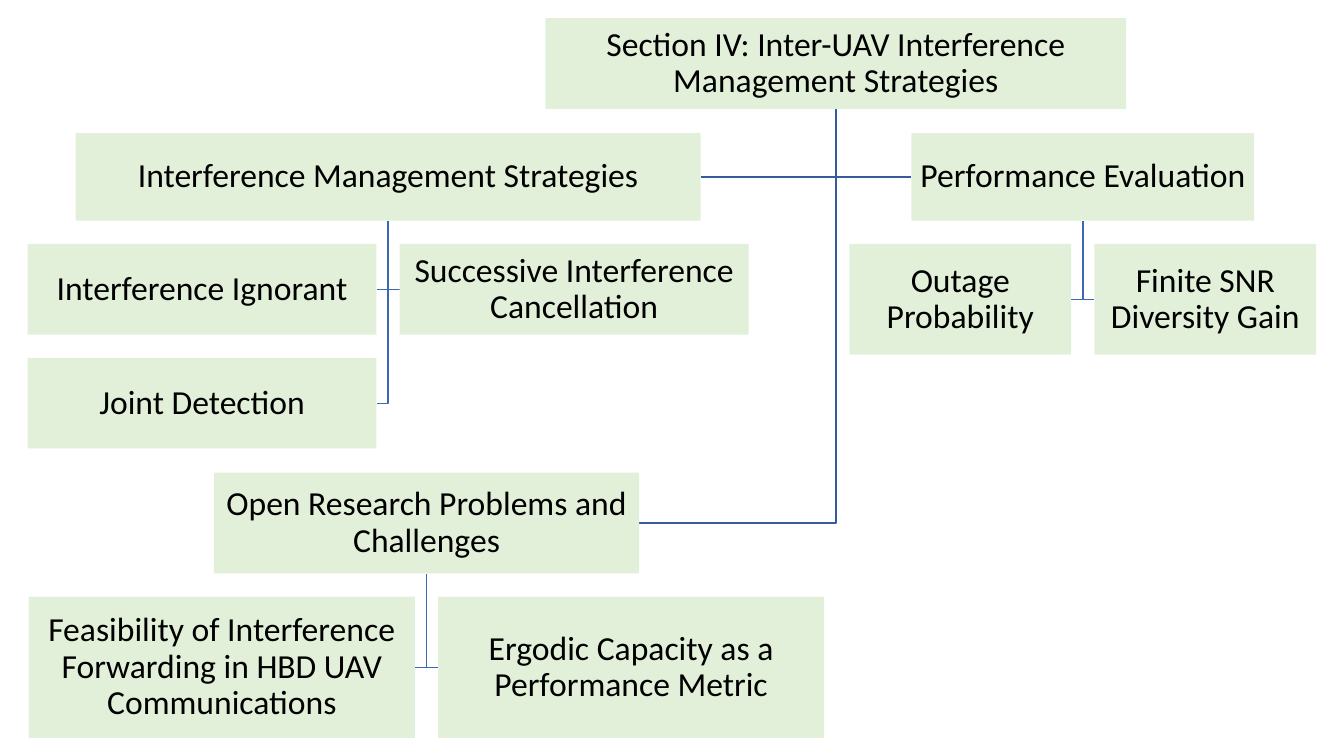
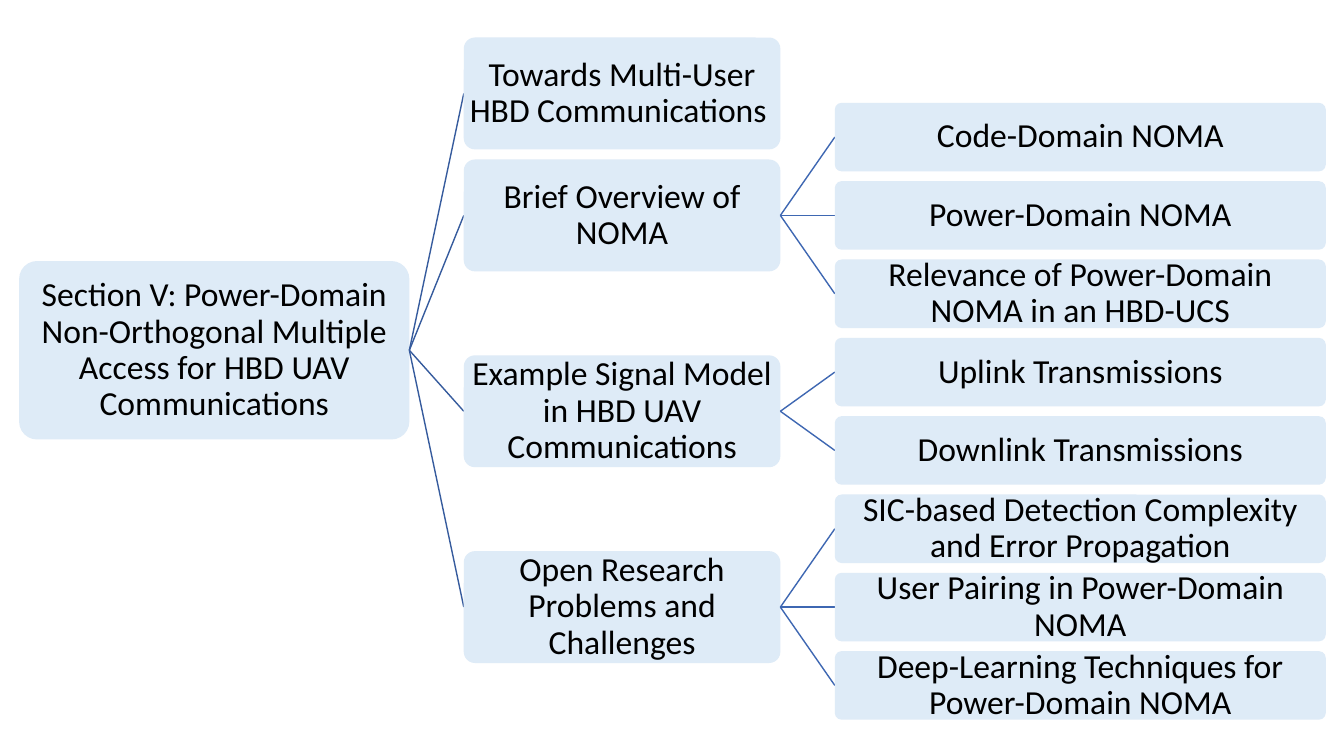
from collections import namedtuple

from lxml import etree
from pptx import Presentation
from pptx.dml.color import RGBColor
from pptx.enum.shapes import MSO_CONNECTOR, MSO_SHAPE
from pptx.enum.text import MSO_ANCHOR, PP_ALIGN
from pptx.oxml.ns import qn
from pptx.util import Inches, Pt

# Shared style
FONT, SIZE, INK = "Calibri", 24, "000000"
GREEN, BLUE = "E2F0D9", "DEEBF7"
ROOT_LINE, LEAF_LINE = "365B9D", "3E67B2"

# Hanging chart: leaves sit in pairs either side of their branch's trunk
HANG_GAP = 0.23
STRATEGIES_ROOT = ("Section IV: Inter-UAV Interference Management Strategies",
                   5.41, 0.18, 5.76, 0.9)
# (branch text, left, top, width, height), (leaf width, leaf height), leaf texts
STRATEGIES = [
    (("Interference Management Strategies", 0.75, 1.32, 6.2, 0.87), (3.46, 0.9),
     ["Interference Ignorant", "Successive Interference Cancellation",
      "Joint Detection"]),
    (("Performance Evaluation", 9.04, 1.32, 3.4, 0.87), (2.2, 1.1),
     ["Outage Probability", "Finite SNR Diversity Gain"]),
    (("Open Research Problems and Challenges", 2.12, 4.69, 4.22, 1), (3.83, 1.4),
     ["Feasibility of Interference Forwarding in HBD UAV Communications",
      "Ergodic Capacity as a Performance Metric"]),
]

# Sideways tree: each parent is centred on its children
NOMA_ROOT = ("Section V: Power-Domain Non-Orthogonal Multiple Access "
             "for HBD UAV Communications")
NOMA = [
    ("Towards Multi-User HBD Communications ", []),
    ("Brief Overview of NOMA",
     ["Code-Domain NOMA", "Power-Domain NOMA",
      "Relevance of Power-Domain NOMA in an HBD-UCS"]),
    ("Example Signal Model in HBD UAV Communications",
     ["Uplink Transmissions", "Downlink Transmissions"]),
    ("Open Research Problems and Challenges",
     ["SIC-based Detection Complexity and Error Propagation",
      "User Pairing in Power-Domain NOMA",
      "Deep-Learning Techniques for Power-Domain NOMA"]),
]
Column = namedtuple("Column", "left width height")
ROOT_COL = Column(0.19, 3.87, 1.77)
BRANCH_COL = Column(4.6, 3.14, 1.11)
LEAF_COL = Column(8.28, 4.87, 0.68)
FIRST_LEAF, LAST_LEAF = 1.36, 6.8  # vertical centres
BRANCH_GAP = 0.1


def rgb(color):
    return RGBColor.from_string(color)


def add_box(s, text, left, top, width, height, fill, kind=MSO_SHAPE.RECTANGLE):
    sp = s.shapes.add_shape(kind, Inches(left), Inches(top),
                            Inches(width), Inches(height))
    if kind == MSO_SHAPE.ROUNDED_RECTANGLE:
        sp.adjustments[0] = 0.1
    sp.shadow.inherit = False
    sp.fill.solid()
    sp.fill.fore_color.rgb = rgb(fill)
    sp.line.fill.background()
    tf = sp.text_frame
    tf.word_wrap = True
    tf.vertical_anchor = MSO_ANCHOR.MIDDLE
    tf.margin_left = tf.margin_right = Inches(0.02)
    tf.margin_top = tf.margin_bottom = Inches(0.02)
    p = tf.paragraphs[0]
    p.text = text
    p.alignment = PP_ALIGN.CENTER
    p.line_spacing = 0.9
    p.font.name, p.font.size = FONT, Pt(SIZE)
    p.font.color.rgb = rgb(INK)


def style_line(line, color):
    line.color.rgb = rgb(color)
    line.width = Pt(1)


def add_elbow(s, parent, child, color):
    """Run down from the parent's foot, then across to the child's near side."""
    _, px, py, pw, ph = parent
    _, cx, cy, cw, ch = child
    trunk, middle = px + pw / 2, cy + ch / 2
    side = cx if cx > trunk else cx + cw
    outline = s.shapes.build_freeform(Inches(trunk), Inches(py + ph))
    outline.add_line_segments([(Inches(trunk), Inches(middle)),
                               (Inches(side), Inches(middle))], close=False)
    sp = outline.convert_to_shape()
    sp.shadow.inherit = False
    sp.fill.background()
    style_line(sp.line, color)


def add_link(s, parent_col, parent_y, child_col, child_y, color):
    cn = s.shapes.add_connector(
        MSO_CONNECTOR.STRAIGHT,
        Inches(parent_col.left + parent_col.width), Inches(parent_y),
        Inches(child_col.left), Inches(child_y))
    style_line(cn.line, color)
    etree.SubElement(cn._element.spPr, qn("a:effectLst"))


def add_node(s, text, col, center):
    add_box(s, text, col.left, center - col.height / 2, col.width, col.height,
            BLUE, MSO_SHAPE.ROUNDED_RECTANGLE)


def hang_leaves(branch, size, texts):
    """Place leaves in rows of two, left and right of the branch's trunk."""
    _, left, top, width, height = branch
    w, h = size
    trunk = left + width / 2
    columns = (trunk - HANG_GAP / 2 - w, trunk + HANG_GAP / 2)
    first = top + height + HANG_GAP
    return [(text, columns[i % 2], first + i // 2 * (h + HANG_GAP), w, h)
            for i, text in enumerate(texts)]


def build_hanging_chart(s):
    boxes = [STRATEGIES_ROOT]
    for branch, size, texts in STRATEGIES:
        leaves = hang_leaves(branch, size, texts)
        add_elbow(s, STRATEGIES_ROOT, branch, ROOT_LINE)
        for leaf in leaves:
            add_elbow(s, branch, leaf, LEAF_LINE)
        boxes += [branch, *leaves]
    for box in boxes:
        add_box(s, *box, GREEN)


def build_sideways_tree(s):
    # Leaves at equal steps, branches centred on them
    count = sum(len(leaves) for _, leaves in NOMA)
    step = (LAST_LEAF - FIRST_LEAF) / (count - 1)
    leaf_centers = iter([FIRST_LEAF + i * step for i in range(count)])
    groups = [[next(leaf_centers) for _ in leaves] for _, leaves in NOMA]
    centers = [sum(g) / len(g) if g else None for g in groups]
    # The first branch has no leaves and stands right above the second
    centers[0] = centers[1] - BRANCH_COL.height - BRANCH_GAP
    root_center = (centers[0] + centers[-1]) / 2

    add_node(s, NOMA_ROOT, ROOT_COL, root_center)
    for (text, leaves), center, group in zip(NOMA, centers, groups):
        add_link(s, ROOT_COL, root_center, BRANCH_COL, center, ROOT_LINE)
        add_node(s, text, BRANCH_COL, center)
        for leaf, y in zip(leaves, group):
            add_link(s, BRANCH_COL, center, LEAF_COL, y, LEAF_LINE)
            add_node(s, leaf, LEAF_COL, y)


def main():
    prs = Presentation()
    prs.slide_width, prs.slide_height = Inches(13.33), Inches(7.5)
    blank = prs.slide_layouts[6]
    for build in (build_hanging_chart, build_sideways_tree):
        build(prs.slides.add_slide(blank))
    prs.save("out.pptx")


main()
